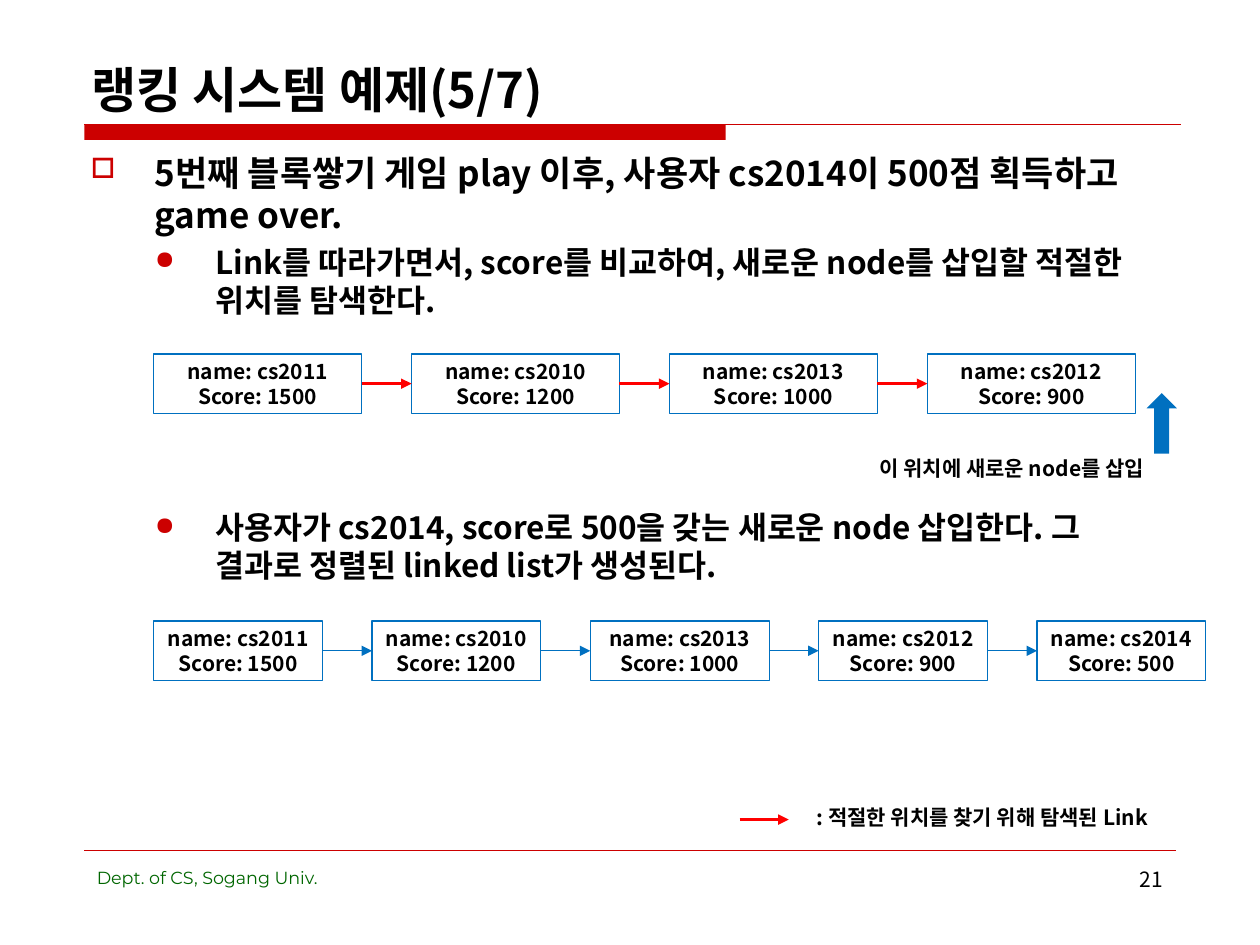
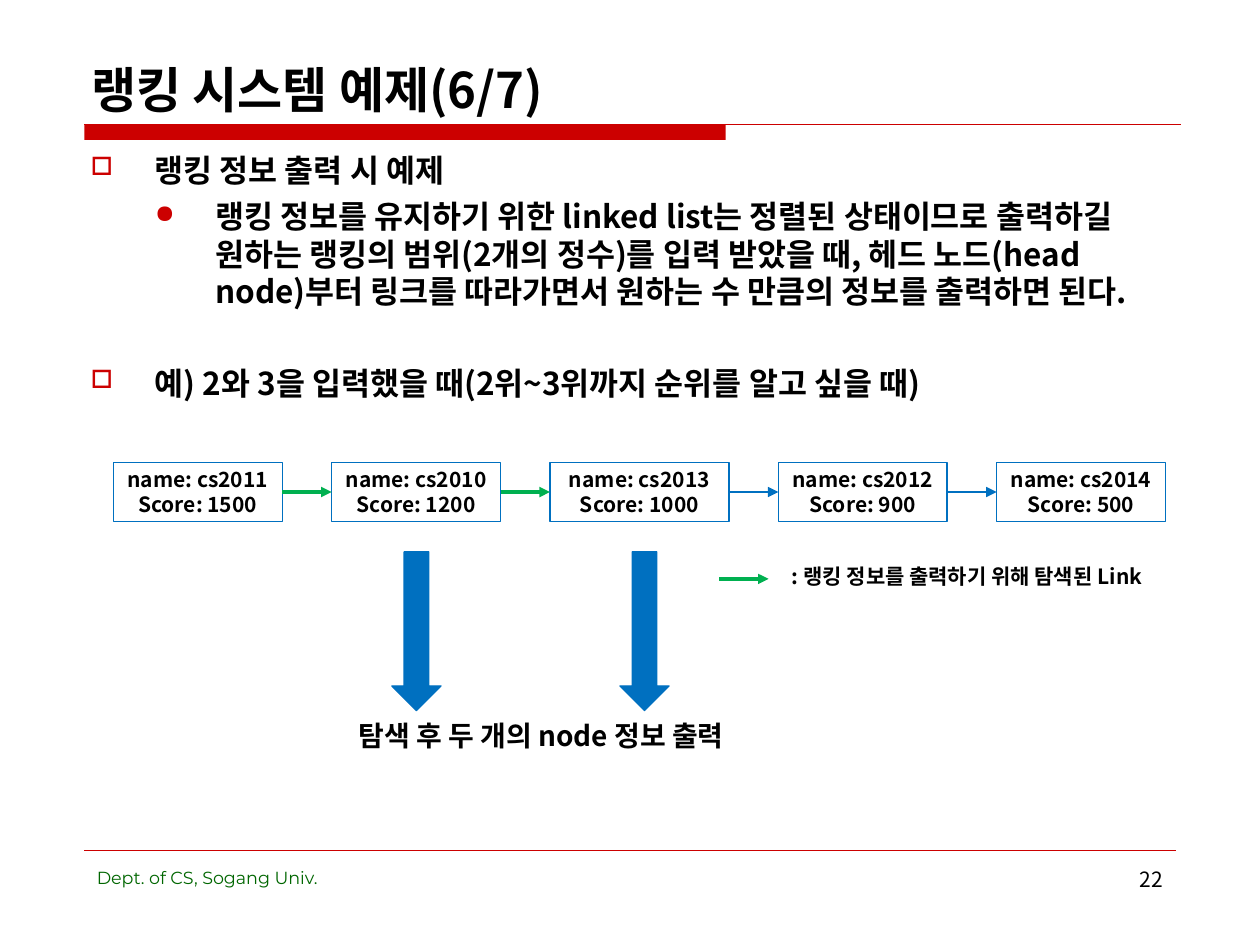
from dataclasses import dataclass

from lxml.etree import SubElement
from pptx import Presentation
from pptx.dml.color import RGBColor
from pptx.enum.shapes import MSO_CONNECTOR, MSO_SHAPE
from pptx.enum.text import MSO_ANCHOR, PP_ALIGN
from pptx.oxml.ns import qn
from pptx.util import Inches, Pt

SLIDE_WIDTH = Inches(10)
SLIDE_HEIGHT = Inches(7.5)
COLUMN = SLIDE_WIDTH / 100
ROW = SLIDE_HEIGHT / 75

BLACK = "000000"
RED = "CC0000"
BLUE = "0070C0"
SEARCH_RED = "FF0000"
PRINT_GREEN = "00B050"
FOOTER_GREEN = "006600"
KOREAN_FONT = "Noto Sans CJK KR"
FOOTER_FONT = "Montserrat"
LINE_RATIO = 1.2
LINK_LENGTH = 3.9

BULLETS = {0: ("□", 0.51, 0.51), 1: ("●", 0.99, 0.48)}
RANKING = [("cs2011", 1500), ("cs2010", 1200), ("cs2013", 1000), ("cs2012", 900), ("cs2014", 500)]
EVEN_WIDTHS = [16.5] * 4
RESULT_WIDTHS = [13.4, 13.4, 14.2, 13.4, 13.4]


@dataclass
class Box:
    left: float
    top: float
    width: float
    height: float

    @property
    def right(self):
        return self.left + self.width

    @property
    def bottom(self):
        return self.top + self.height

    def emu(self):
        return (round(self.left * COLUMN), round(self.top * ROW),
                round(self.width * COLUMN), round(self.height * ROW))


TITLE_BOX = Box(6.3, 3.3, 87.5, 6.6)
BAND_BOX = Box(6.7, 9.9, 87, 1.2)
BODY_BOX = Box(6.2, 11.5, 87.5, 54.3)
FOOTER_BOX = Box(6.7, 67.5, 86.6, 6)


def color(value):
    return RGBColor.from_string(value)


def style_paragraph(para, size, bold=True, ink=BLACK, font=KOREAN_FONT):
    para.line_spacing = Pt(round(size * LINE_RATIO, 2))
    for span in para.runs:
        span.font.size = Pt(size)
        span.font.bold = bold
        span.font.name = font
        span.font.color.rgb = color(ink)
        SubElement(span.font._element, qn("a:ea")).set("typeface", font)


def write(frame, text, size, align=PP_ALIGN.CENTER, anchor=MSO_ANCHOR.MIDDLE, wrap=False, **style):
    frame.text = text
    frame.word_wrap = wrap
    frame.vertical_anchor = anchor
    for para in frame.paragraphs:
        para.alignment = align
        style_paragraph(para, size, **style)


def add_label(page, box, text, size, **style):
    label = page.shapes.add_textbox(*box.emu())
    write(label.text_frame, text, size, **style)


def add_block(page, preset, box, fill=None, line=None):
    block = page.shapes.add_shape(preset, *box.emu())
    block.shadow.inherit = False
    if fill:
        block.fill.solid()
        block.fill.fore_color.rgb = color(fill)
    else:
        block.fill.background()
    if line:
        block.line.color.rgb = color(line)
        block.line.width = Pt(0.75)
    else:
        block.line.fill.background()
    return block


def add_line(page, left, right, level, ink, weight, arrow=False):
    y = round(level * ROW)
    line = page.shapes.add_connector(MSO_CONNECTOR.STRAIGHT, round(left * COLUMN), y, round(right * COLUMN), y)
    line.line.color.rgb = color(ink)
    line.line.width = Pt(weight)
    if arrow:
        SubElement(line.line._get_or_add_ln(), qn("a:tailEnd")).set("type", "triangle")
    SubElement(line._element.spPr, qn("a:effectLst"))
    return line


def add_heading(page, title):
    add_label(page, TITLE_BOX, title, 28, align=PP_ALIGN.LEFT, anchor=MSO_ANCHOR.BOTTOM, wrap=True)
    bar = Box(BAND_BOX.left, BAND_BOX.top, BAND_BOX.width * 0.585, BAND_BOX.height)
    add_block(page, MSO_SHAPE.RECTANGLE, bar, fill=RED)
    add_line(page, BAND_BOX.left, BAND_BOX.right, BAND_BOX.top, RED, 0.75)


def add_footer(page, number):
    box = FOOTER_BOX
    add_line(page, box.left, box.right, box.top, RED, 0.25)
    top, height = box.top + 0.8, box.height - 0.8
    add_label(page, Box(box.left, top, 35.5, height), "Dept. of CS, Sogang Univ.", 10,
              align=PP_ALIGN.LEFT, anchor=MSO_ANCHOR.TOP, wrap=True,
              bold=False, ink=FOOTER_GREEN, font=FOOTER_FONT)
    add_label(page, Box(box.right - 21.7, top, 21.7, height), str(number), 12,
              align=PP_ALIGN.RIGHT, anchor=MSO_ANCHOR.TOP, wrap=True, bold=False)


def add_bullets(page, items):
    frame = page.shapes.add_textbox(*BODY_BOX.emu()).text_frame
    frame.word_wrap = True
    frame.text = "\n".join(text for _, _, _, text in items)
    for para, (level, size, before, _) in zip(frame.paragraphs, items):
        symbol, margin, hanging = BULLETS[level]
        properties = para._p.get_or_add_pPr()
        properties.set("marL", str(Inches(margin)))
        properties.set("indent", str(-Inches(hanging)))
        SubElement(SubElement(properties, qn("a:buClr")), qn("a:srgbClr")).set("val", RED)
        SubElement(properties, qn("a:buSzPct")).set("val", "80000")
        SubElement(properties, qn("a:buChar")).set("char", symbol)
        para.level = level
        para.space_before = Pt(before)
        style_paragraph(para, size)


def add_chain(page, box, widths, followed, highlight):
    gap = (box.width - sum(widths)) / (len(widths) - 1)
    left = box.left
    nodes = []
    for width, (name, score) in zip(widths, RANKING):
        node = add_block(page, MSO_SHAPE.RECTANGLE, Box(left, box.top, width, box.height), line=BLUE)
        write(node.text_frame, f"name: {name}\nScore: {score}", 12)
        nodes.append(node)
        left += width + gap
    for index, (source, target) in enumerate(zip(nodes, nodes[1:])):
        ink, weight = (highlight, 2) if index < followed else (BLUE, 0.75)
        link = add_line(page, 0, gap, box.top, ink, weight, arrow=True)
        link.begin_connect(source, 3)
        link.end_connect(target, 1)


def add_legend(page, box, gap, ink, text):
    add_line(page, box.left, box.left + LINK_LENGTH, box.top + box.height * 0.55, ink, 2, arrow=True)
    offset = LINK_LENGTH + gap
    add_label(page, Box(box.left + offset, box.top, box.width - offset, box.height), text, 12)


def add_insert_marker(page, box):
    add_label(page, Box(box.left, box.bottom - 3.9, 24.4, 3.9), "이 위치에 새로운 node를 삽입", 12)
    add_block(page, MSO_SHAPE.UP_ARROW, Box(box.right - 2.4, box.top, 2.4, 4.8), fill=BLUE)


def add_output_arrows(page, box):
    for offset in (4.7, 22.8):
        arrow = Box(box.left + offset, box.top, 3.9, 12.6)
        add_block(page, MSO_SHAPE.DOWN_ARROW, arrow, fill=BLUE, line=BLUE)
    add_label(page, Box(box.left, box.bottom - 3.9, box.width, 3.9), "탐색 후 두 개의 node 정보 출력", 16)


def start_page(deck, title, number, items):
    page = deck.slides.add_slide(deck.slide_layouts[6])
    add_heading(page, title)
    add_bullets(page, items)
    add_footer(page, number)
    return page


def build_insert_page(deck):
    page = start_page(deck, "랭킹 시스템 예제(5/7)", 21, [
        (0, 20, 0, "5번째 블록쌓기 게임 play 이후, 사용자 cs2014이 500점 획득하고 game over."),
        (1, 18, 4.5, "Link를 따라가면서, score를 비교하여, 새로운 node를 삽입할 적절한 위치를 탐색한다."),
        (1, 18, 108.5, "사용자가 cs2014, score로 500을 갖는 새로운 node 삽입한다. "
                       "그 결과로 정렬된 linked list가 생성된다."),
    ])
    add_chain(page, Box(12.2, 28.1, 77.9, 4.7), EVEN_WIDTHS, 3, SEARCH_RED)
    add_insert_marker(page, Box(68.1, 31.2, 25.3, 7.9))
    add_chain(page, Box(12.2, 49.3, 83.5, 4.7), RESULT_WIDTHS, 0, SEARCH_RED)
    add_legend(page, Box(58.7, 62.9, 33.8, 3.9), 0.8, SEARCH_RED, ": 적절한 위치를 찾기 위해 탐색된 Link")


def build_output_page(deck):
    page = start_page(deck, "랭킹 시스템 예제(6/7)", 22, [
        (0, 18, 0, "랭킹 정보 출력 시 예제"),
        (1, 18, 4.5, "랭킹 정보를 유지하기 위한 linked list는 정렬된 상태이므로 출력하길 원하는 "
                     "랭킹의 범위(2개의 정수)를 입력 받았을 때, 헤드 노드(head node)부터 링크를 "
                     "따라가면서 원하는 수 만큼의 정보를 출력하면 된다."),
        (0, 18, 30.5, "예) 2와 3을 입력했을 때(2위~3위까지 순위를 알고 싶을 때)"),
    ])
    add_chain(page, Box(9, 36.7, 83.5, 4.7), RESULT_WIDTHS, 2, PRINT_GREEN)
    add_legend(page, Box(57.1, 43.8, 35.4, 3.9), 0, PRINT_GREEN, ": 랭킹 정보를 출력하기 위해 탐색된 Link")
    add_output_arrows(page, Box(26.4, 43.8, 33.1, 16.5))


def main():
    deck = Presentation()
    deck.slide_width = SLIDE_WIDTH
    deck.slide_height = SLIDE_HEIGHT
    build_insert_page(deck)
    build_output_page(deck)
    deck.save("out.pptx")


if __name__ == "__main__":
    main()
